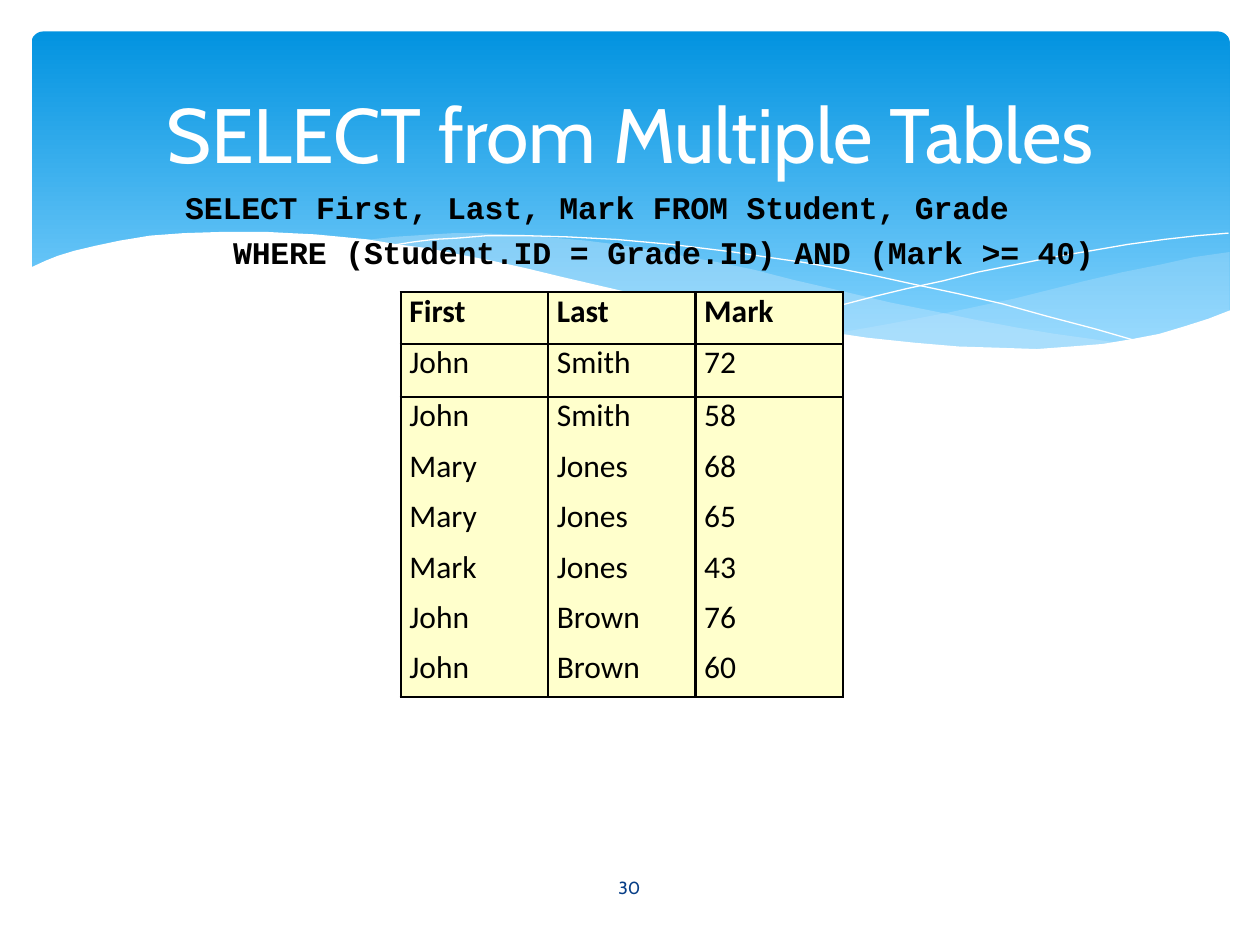
from lxml.etree import SubElement
from pptx import Presentation
from pptx.dml.color import RGBColor
from pptx.enum.shapes import MSO_SHAPE
from pptx.enum.text import MSO_ANCHOR, MSO_AUTO_SIZE, PP_ALIGN
from pptx.oxml import parse_xml
from pptx.oxml.ns import nsdecls, qn
from pptx.util import Inches, Pt

WHITE = RGBColor(0xFF, 0xFF, 0xFF)
BLACK = RGBColor(0x00, 0x00, 0x00)
SKY = RGBColor(0x02, 0x93, 0xE0)
PALE = RGBColor(0x83, 0xD3, 0xFE)
MIST = RGBColor(0xC6, 0xE7, 0xFC)
NAVY = RGBColor(0x07, 0x3E, 0x87)
CREAM = RGBColor(0xFF, 0xFF, 0xCC)

RIGHT_WAVE = [
    (9.76, 2), (9.48, 2.04), (9.21, 2.1), (8.91, 2.16), (8.61, 2.23),
    (8.05, 2.37), (7.53, 2.48), (7.06, 2.57), (6.61, 2.65), (6.91, 2.69),
    (7.19, 2.72), (7.45, 2.75), (7.69, 2.77), (8.03, 2.78), (8.35, 2.77),
    (8.63, 2.75), (8.89, 2.72), (9.13, 2.67), (9.35, 2.62), (9.49, 2.57),
    (9.63, 2.52), (9.76, 2.47),
]
LONG_WAVE = [
    (8.93, 2.73), (8.66, 2.69), (8.37, 2.65), (8.07, 2.6), (7.75, 2.54),
    (7.41, 2.47), (7.06, 2.4), (6.68, 2.31), (6.29, 2.22), (5.98, 2.14),
    (5.69, 2.08), (5.41, 2.03), (5.14, 1.98), (4.89, 1.94), (4.65, 1.91),
    (4.42, 1.89), (4.2, 1.87), (3.99, 1.86), (3.8, 1.85), (3.61, 1.85),
    (3.44, 1.86), (3.13, 1.88), (2.86, 1.91), (3.23, 1.96), (3.62, 2.03),
    (4.04, 2.11), (4.49, 2.22), (4.91, 2.32), (5.3, 2.4), (5.66, 2.48),
    (6.01, 2.55), (6.34, 2.61), (6.65, 2.66), (6.95, 2.7), (7.22, 2.74),
    (7.48, 2.76), (7.73, 2.77), (7.96, 2.78), (8.28, 2.78), (8.57, 2.77),
    (8.76, 2.75),
]
FALL_LINE = [
    (3.09, 1.95), (3.28, 1.92), (3.44, 1.9), (3.63, 1.89), (3.87, 1.87),
    (4.16, 1.87), (4.5, 1.88), (4.89, 1.9), (5.33, 1.94), (5.82, 2),
    (6.08, 2.04), (6.36, 2.08), (6.65, 2.13), (6.95, 2.19), (7.27, 2.26),
    (7.6, 2.33), (7.95, 2.41), (8.31, 2.51), (8.69, 2.61), (9.07, 2.72),
]
RISE_LINE = [
    (6.13, 2.57), (6.53, 2.46), (6.95, 2.35), (7.2, 2.29), (7.48, 2.23),
    (7.76, 2.16), (8.06, 2.1), (8.36, 2.04), (8.66, 1.99), (8.95, 1.94),
    (9.24, 1.9), (9.51, 1.87), (9.75, 1.85),
]
FRONT_WAVE = [
    (9.77, 2.46), (9.59, 2.53), (9.4, 2.59), (9.2, 2.65), (8.99, 2.69),
    (8.75, 2.73), (8.5, 2.75), (8.23, 2.77), (7.93, 2.76), (7.61, 2.75),
    (7.26, 2.72), (6.88, 2.68), (6.48, 2.62), (6.03, 2.54), (5.55, 2.45),
    (5.03, 2.33), (4.47, 2.2), (4.18, 2.13), (3.91, 2.07), (3.65, 2.02),
    (3.4, 1.97), (3.16, 1.94), (2.92, 1.9), (2.71, 1.88), (2.5, 1.86),
    (2.3, 1.85), (2.11, 1.84), (1.77, 1.84), (1.46, 1.85), (1.19, 1.87),
    (0.95, 1.91), (0.76, 1.95), (0.59, 1.99), (0.46, 2.03), (0.36, 2.07),
    (0.23, 2.13), (0.23, 3.29), (9.77, 3.29),
]
MARKS = [
    ("First", "Last", "Mark"),
    ("John", "Smith", "72"),
    ("John", "Smith", "58"),
    ("Mary", "Jones", "68"),
    ("Mary", "Jones", "65"),
    ("Mark", "Jones", "43"),
    ("John", "Brown", "76"),
    ("John", "Brown", "60"),
]
ROW_TALL = [0.41, 0.42, 0.4, 0.4, 0.4, 0.4, 0.4, 0.38]


class Deck:
    """Holds the style and the current slide."""

    def __init__(self):
        self.file = Presentation()
        self.file.slide_width, self.file.slide_height = Inches(10), Inches(7.5)
        self.slide = self.file.slides.add_slide(self.file.slide_layouts[5])
        self.shapes = self.slide.shapes

    def font(self, para, name, size, color, bold=False, space=0):
        font = para.font
        font.name, font.size, font.bold = name, Pt(size), bold
        font.color.rgb = color
        para._p.pPr.find(qn("a:defRPr")).set("spc", str(space))

    def frame(self, shape, box, anchor):
        shape.left, shape.top, shape.width, shape.height = map(Inches, box)
        frame = shape.text_frame
        frame.margin_left = frame.margin_right = 0
        frame.margin_top = frame.margin_bottom = 0
        frame.word_wrap, frame.auto_size = True, MSO_AUTO_SIZE.NONE
        frame.vertical_anchor = anchor
        return frame.paragraphs[0]

    def panel(self, box):
        shape = self.shapes.add_shape(
            MSO_SHAPE.ROUNDED_RECTANGLE, *map(Inches, box))
        shape.adjustments[0] = 0.034
        shape.shadow.inherit = False
        shape.line.fill.background()
        shape.fill.gradient()
        shape.fill.gradient_angle = 270
        first, last = shape.fill.gradient_stops
        first.color.rgb, last.color.rgb = SKY, PALE
        last.position = 0.9

    def trace(self, points, close):
        start, *rest = [(Inches(x), Inches(y)) for x, y in points]
        pen = self.shapes.build_freeform(*start)
        pen.add_line_segments(rest, close=close)
        shape = pen.convert_to_shape()
        shape.shadow.inherit = False
        return shape

    def wave(self, points, color, alpha=100):
        shape = self.trace(points, True)
        shape.line.fill.background()
        shape.fill.solid()
        shape.fill.fore_color.rgb = color
        tint = shape.element.spPr.find(qn("a:solidFill")).find(qn("a:srgbClr"))
        SubElement(tint, qn("a:alpha"), val=str(alpha * 1000))

    def curve(self, points):
        shape = self.trace(points, False)
        shape.fill.background()
        shape.line.color.rgb = WHITE
        shape.line.width = 0

    def title(self, text, box):
        shape = self.shapes.title
        shape.element.getparent().append(shape.element)
        para = self.frame(shape, box, MSO_ANCHOR.MIDDLE)
        para.text, para.alignment = text, PP_ALIGN.CENTER
        self.font(para, "Cabin", 44, WHITE, space=-20)

    def number(self, text, box):
        shape = self.shapes.add_textbox(*map(Inches, box))
        para = self.frame(shape, box, MSO_ANCHOR.MIDDLE)
        para.text, para.alignment = text, PP_ALIGN.CENTER
        para.line_spacing = Pt(12.4)
        self.font(para, "Cabin", 10, NAVY)

    def query(self, text, box):
        shape = self.shapes.add_textbox(*map(Inches, box))
        para = self.frame(shape, box, MSO_ANCHOR.TOP)
        para.text, para.line_spacing = text, 1.2
        self.font(para, "Courier New", 18, BLACK, True, -10)
        para._p.pPr.set("marL", str(Inches(0.39)))
        para._p.pPr.set("indent", str(Inches(-0.38)))

    def edges(self, cell, sides):
        props = cell._tc.get_or_add_tcPr()
        ink = f'<a:solidFill><a:srgbClr val="{BLACK}"/></a:solidFill>'
        for spot, side in enumerate("LRTB"):
            fill = ink if side in sides else "<a:noFill/>"
            props.insert(spot, parse_xml(
                f'<a:ln{side} {nsdecls("a")} w="{Pt(1.5)}">{fill}</a:ln{side}>'))

    def table(self, rows, tall, left, top, wide):
        count = len(rows[0])
        grid = self.shapes.add_table(
            len(rows), count, Inches(left), Inches(top),
            Inches(wide * count), Inches(sum(tall))).table
        grid.first_row = grid.horz_banding = False
        for col in grid.columns:
            col.width = Inches(wide)
        for r, row in enumerate(rows):
            grid.rows[r].height = Inches(tall[r])
            sides = "LR" + "T" * (r < 3) + "B" * (r < 2 or r == len(rows) - 1)
            for c, text in enumerate(row):
                cell = grid.cell(r, c)
                cell.margin_left = Inches(0.07)
                cell.margin_right = cell.margin_top = cell.margin_bottom = 0
                cell.fill.solid()
                cell.fill.fore_color.rgb = CREAM
                para = cell.text_frame.paragraphs[0]
                para.text, para.space_before = text, Pt(1.6 if r < 2 else 0.9)
                self.font(para, "Calibri", 18, BLACK, r == 0)
                self.edges(cell, sides)


def main():
    deck = Deck()
    deck.panel((0.25, 0.25, 9.51, 2.7))
    deck.wave(RIGHT_WAVE, MIST, 29)
    deck.wave(LONG_WAVE, MIST, 40)
    deck.curve(FALL_LINE)
    deck.curve(RISE_LINE)
    deck.wave(FRONT_WAVE, WHITE)
    deck.number("30", (4.36, 6.84, 1.27, 0.4))
    deck.title("SELECT from Multiple Tables", (0.5, 0.37, 9, 1.37))
    deck.query("SELECT First, Last, Mark FROM Student, Grade\v"
               "WHERE (Student.ID = Grade.ID) AND (Mark >= 40)",
               (1.46, 1.43, 7.27, 0.75))
    deck.table(MARKS, ROW_TALL, 3.18, 2.32, 1.17)
    deck.file.save("out.pptx")


if __name__ == "__main__":
    main()
